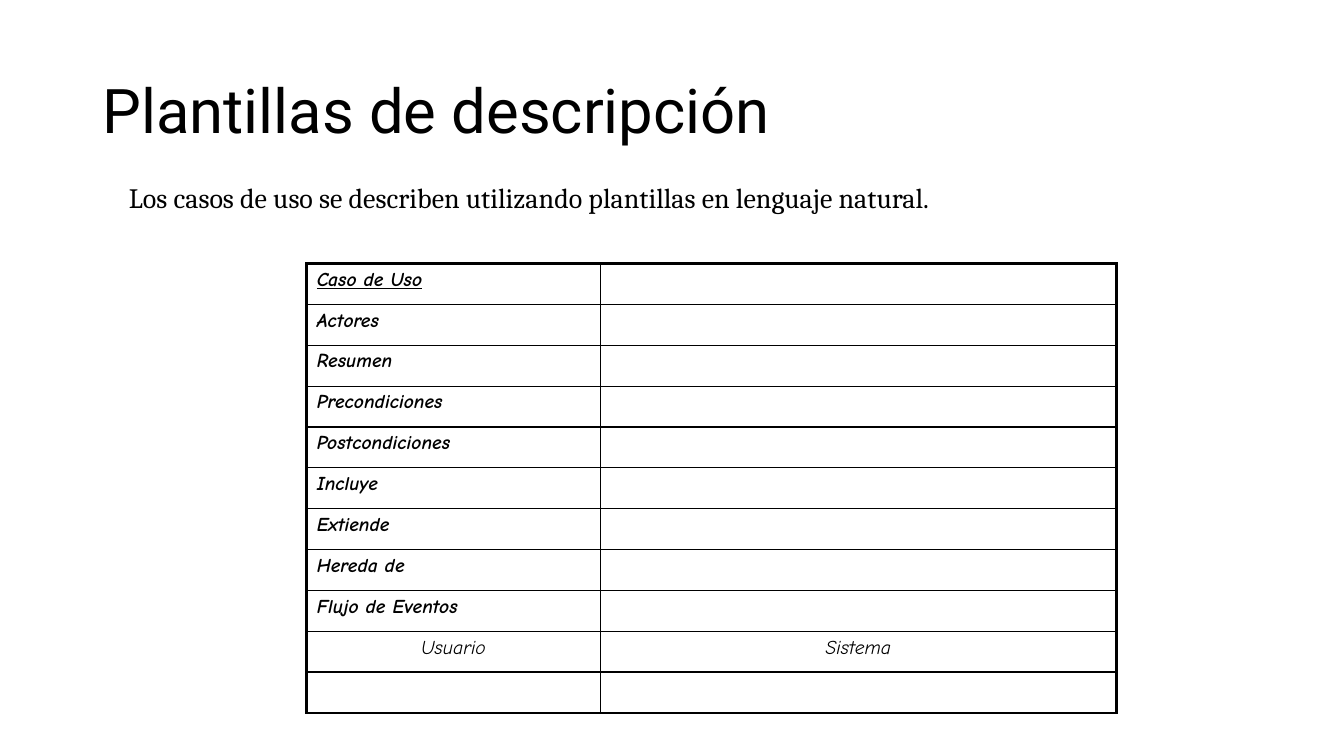
import pptx
import pptx.dml.color
import pptx.enum.text
import pptx.oxml
import pptx.oxml.ns
import pptx.util

Cm = pptx.util.Cm
Pt = pptx.util.Pt
ALIGN = pptx.enum.text.PP_ALIGN
ANCHOR = pptx.enum.text.MSO_ANCHOR

COLORS = {"ink": "000000", "paper": "FFFFFF"}
FIELDS = [
    "Caso de Uso", "Actores", "Resumen", "Precondiciones", "Postcondiciones",
    "Incluye", "Extiende", "Hereda de", "Flujo de Eventos",
]
FIELD_FORMAT = {"name": "Comic Neue", "size": Pt(14), "bold": True, "italic": True}
ACTOR_FORMAT = {**FIELD_FORMAT, "bold": False}


class TemplateSlide:
    """Draws styled text and a form table on one slide."""

    def __init__(self, slide):
        self.slide = slide
        self.thin, self.thick = Pt(1), Pt(2.25)
        slide.background.fill.solid()
        slide.background.fill.fore_color.rgb = self.color("paper")

    def color(self, name):
        return pptx.dml.color.RGBColor.from_string(COLORS[name])

    def add_wording(self, paragraph, wording, formats):
        run = paragraph.add_run()
        run.text = wording
        for attribute, value in formats.items():
            setattr(run.font, attribute, value)
        run.font.color.rgb = self.color("ink")

    def text(self, box, wording, formats, anchor=ANCHOR.TOP):
        frame = self.slide.shapes.add_textbox(*map(Cm, box)).text_frame
        frame.word_wrap = True
        frame.vertical_anchor = anchor
        frame.paragraphs[0].line_spacing = 0.9
        self.add_wording(frame.paragraphs[0], wording, formats)

    def borders(self, cell, outer_sides):
        properties = cell._tc.get_or_add_tcPr()
        for position, side in enumerate("LRTB"):
            width = self.thick if side in outer_sides else self.thin
            line = pptx.oxml.parse_xml(
                f'<a:ln{side} {pptx.oxml.ns.nsdecls("a")} w="{width}">'
                f'<a:solidFill><a:srgbClr val="{COLORS["ink"]}"/></a:solidFill>'
                f'</a:ln{side}>'
            )
            properties.insert(position, line)

    def form(self, box, column_widths, rows):
        left, top, width, height = map(Cm, box)
        table = self.slide.shapes.add_table(
            len(rows), len(column_widths), left, top, width, height
        ).table
        table.first_row = table.horz_banding = False
        for column, column_width in zip(table.columns, column_widths):
            column.width = Cm(column_width)
        for r, entries in enumerate(rows):
            table.rows[r].height = height // len(rows)
            for c, (wording, formats, alignment) in enumerate(entries):
                cell = table.cell(r, c)
                cell.fill.background()
                outer_sides = "LR"[c]
                outer_sides += "T" if r == 0 else ""
                outer_sides += "B" if r == len(rows) - 1 else ""
                self.borders(cell, outer_sides)
                if wording:
                    paragraph = cell.text_frame.paragraphs[0]
                    paragraph.alignment = alignment
                    self.add_wording(paragraph, wording, formats)


def main():
    deck = pptx.Presentation()
    deck.slide_width, deck.slide_height = Cm(33.87), Cm(19.05)
    page = TemplateSlide(deck.slides.add_slide(deck.slide_layouts[6]))

    empty = ("", {}, ALIGN.LEFT)
    rows = [
        [(field, {**FIELD_FORMAT, "underline": field == FIELDS[0]}, ALIGN.LEFT), empty]
        for field in FIELDS
    ]
    rows.append([(actor, ACTOR_FORMAT, ALIGN.CENTER) for actor in ("Usuario", "Sistema")])
    rows.append([empty, empty])

    page.form((7.73, 6.64, 20.4, 11.28), (7.4, 13), rows)
    page.text(
        (3, 4.52, 25.53, 0.99),
        "Los casos de uso se describen utilizando plantillas en lenguaje natural.",
        {"name": "Cambria", "size": Pt(20)},
    )
    page.text(
        (2.33, 1.01, 29.21, 3.68),
        "Plantillas de descripción",
        {"name": "Roboto", "size": Pt(44)},
        ANCHOR.MIDDLE,
    )
    deck.save("out.pptx")


if __name__ == "__main__":
    main()
